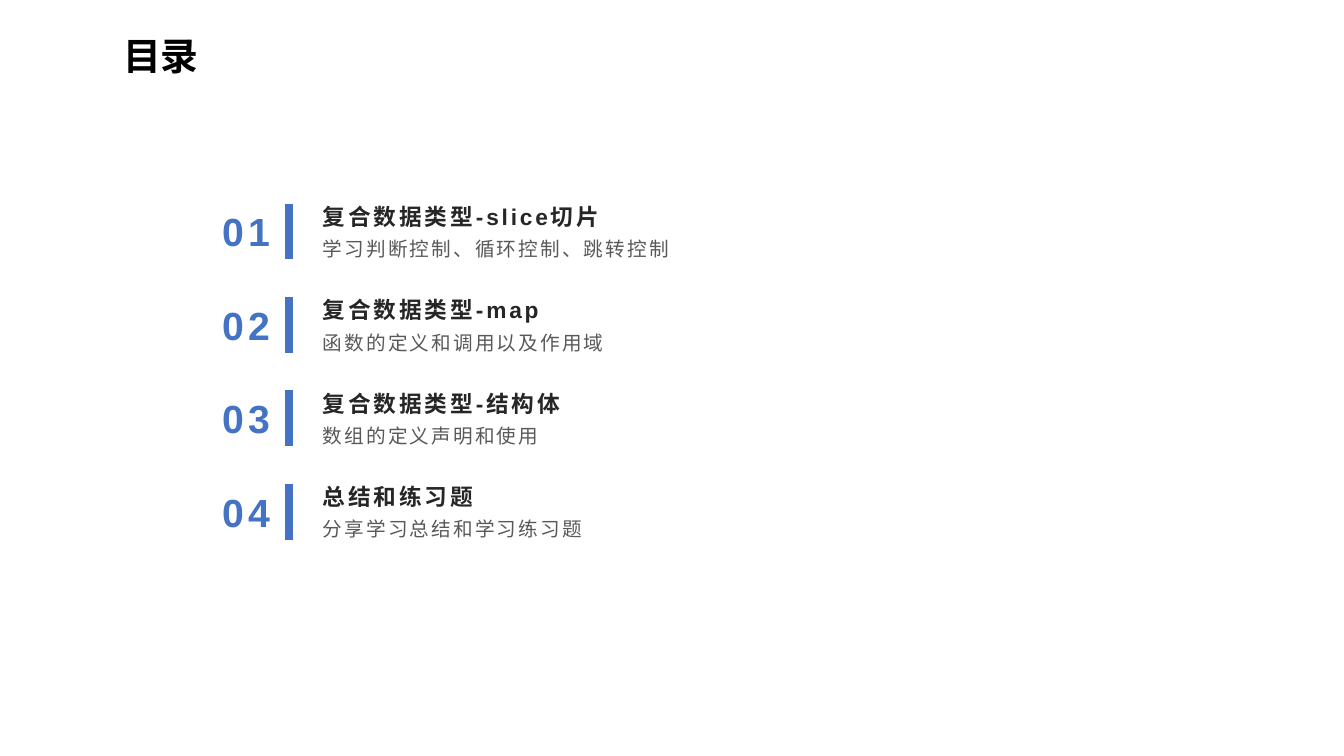
from lxml.etree import SubElement
from pptx import Presentation
from pptx.dml.color import RGBColor
from pptx.enum.shapes import MSO_CONNECTOR
from pptx.enum.text import MSO_ANCHOR as ANCHOR, MSO_AUTO_SIZE as FIT, PP_ALIGN as ALIGN
from pptx.oxml.ns import qn
from pptx.util import Inches, Pt

BLACK = RGBColor(0x00, 0x00, 0x00)
BLUE = RGBColor(0x44, 0x72, 0xC4)
DARK = RGBColor(0x26, 0x26, 0x26)
GREY = RGBColor(0x59, 0x59, 0x59)
LATIN, CJK = "Arial", "Noto Sans CJK SC"

# Percent of the slide's height
FIRST_TOP, PITCH = 25.6, 12.36

ENTRIES = [
    ("复合数据类型-slice切片", "学习判断控制、循环控制、跳转控制"),
    ("复合数据类型-map", "函数的定义和调用以及作用域"),
    ("复合数据类型-结构体", "数组的定义声明和使用"),
    ("总结和练习题", "分享学习总结和学习练习题"),
]


class Deck:
    """Holds the style and the current slide; lengths are percent of its size."""

    def __init__(self):
        """Start a wide presentation with one title-only slide."""
        self.prs = Presentation()
        self.prs.slide_width, self.prs.slide_height = Inches(13.33), Inches(7.5)
        self.s = self.prs.slides.add_slide(self.prs.slide_layouts[5])

    def x(self, share):
        """Turn a share of the width into a length."""
        return round(self.prs.slide_width * share / 100)

    def y(self, share):
        """Turn a share of the height into a length."""
        return round(self.prs.slide_height * share / 100)

    def fill_text(self, sp, text, size, color, bold=True, font=LATIN, spacing=0,
                  line=1.0, align=ALIGN.LEFT, anchor=ANCHOR.TOP,
                  insets=(0.1, 0.05, 0.1, 0.05)):
        """Put one formatted run into a shape."""
        tf = sp.text_frame
        tf.word_wrap, tf.auto_size, tf.vertical_anchor = True, FIT.NONE, anchor
        (tf.margin_left, tf.margin_top,
         tf.margin_right, tf.margin_bottom) = map(Inches, insets)
        p = tf.paragraphs[0]
        p.alignment, p.line_spacing = align, line
        r = p.add_run()
        r.text = text
        r.font.size, r.font.bold, r.font.name = Pt(size), bold, font
        r.font.color.rgb = color
        props = r.font._element
        props.set("spc", str(round(spacing * 100)))
        SubElement(props, qn("a:ea")).set("typeface", CJK)

    def title(self, text):
        """Fill and move the title placeholder."""
        sp = self.s.shapes.title
        sp.left, sp.top = self.x(8.18), self.y(3.47)
        sp.width, sp.height = self.x(86.27), self.y(8.4)
        self.fill_text(sp, text, 27, BLACK, font=CJK, line=0.9,
                       anchor=ANCHOR.MIDDLE, insets=(0.13, 0.07, 0.13, 0.07))

    def text(self, left, top, width, height, text, size, color, **style):
        """Add a text box."""
        sp = self.s.shapes.add_textbox(self.x(left), self.y(top),
                                       self.x(width), self.y(height))
        self.fill_text(sp, text, size, color, **style)

    def bar(self, left, top, height):
        """Add a thick vertical line."""
        sp = self.s.shapes.add_connector(MSO_CONNECTOR.STRAIGHT, self.x(left), self.y(top),
                                         self.x(left), self.y(top + height))
        sp.line.color.rgb, sp.line.width = BLUE, Pt(5.5)
        SubElement(sp._element.spPr, qn("a:effectLst"))

    def entry(self, number, heading, detail):
        """Add one numbered line of the contents."""
        top = FIRST_TOP + (number - 1) * PITCH
        self.text(15.38, top + 1.2, 5.85, 7.6, f"{number:02d}", 28, BLUE,
                  spacing=3, align=ALIGN.CENTER)
        self.bar(21.53, top + 1.33, 7.4)
        self.text(23.29, top, 28.2, 4.8, heading, 16.2, DARK, spacing=2,
                  line=1.1, anchor=ANCHOR.BOTTOM, insets=(0.1, 0.05, 0.1, 0))
        self.text(23.29, top + 5.13, 28.2, 5.07, detail, 14, GREY, bold=False,
                  spacing=1.5, line=1.2, insets=(0.1, 0, 0.1, 0.05))


deck = Deck()
deck.title("目录")
for number, (heading, detail) in enumerate(ENTRIES, 1):
    deck.entry(number, heading, detail)
deck.prs.save("out.pptx")
